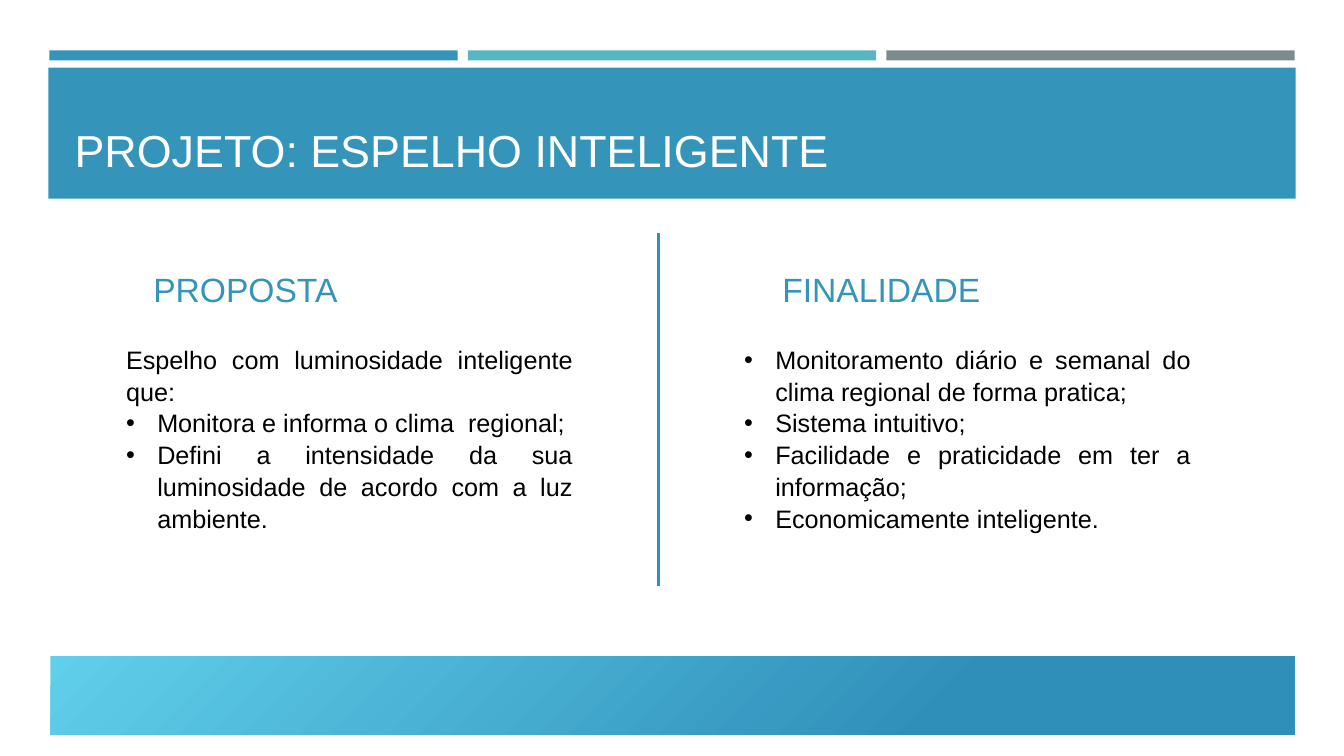
from dataclasses import dataclass

from lxml import etree
from pptx import Presentation
from pptx.dml.color import RGBColor
from pptx.enum.shapes import MSO_CONNECTOR, MSO_SHAPE
from pptx.enum.text import MSO_ANCHOR, MSO_AUTO_SIZE, PP_ALIGN
from pptx.oxml.ns import qn
from pptx.util import Inches, Pt

RECTANGLE = MSO_SHAPE.RECTANGLE
STRAIGHT = MSO_CONNECTOR.STRAIGHT
TOP, BOTTOM = MSO_ANCHOR.TOP, MSO_ANCHOR.BOTTOM
LEFT, JUSTIFY = PP_ALIGN.LEFT, PP_ALIGN.JUSTIFY
NO_AUTOFIT = MSO_AUTO_SIZE.NONE

TITLE = "PROJETO: ESPELHO INTELIGENTE"
TITLE_BOX = (0.64, 0.99, 10.5, 0.81)
# Each body line is (text, has bullet).
COLUMNS = [
    {
        "heading": "PROPOSTA",
        "heading_box": (1.42, 2.31, 4.63, 0.81),
        "body": [
            ("Espelho com luminosidade inteligente que:", False),
            ("Monitora e informa o clima  regional;", True),
            ("Defini a intensidade da sua luminosidade de acordo com a luz ambiente.", True),
        ],
        "body_box": (1.15, 3.35, 4.63, 1.92),
    },
    {
        "heading": "FINALIDADE",
        "heading_box": (7.66, 2.31, 3.87, 0.81),
        "body": [
            ("Monitoramento diário e semanal do clima regional de forma pratica;", True),
            ("Sistema intuitivo;", True),
            ("Facilidade e praticidade em ter a informação;", True),
            ("Economicamente inteligente.", True),
        ],
        "body_box": (7.28, 3.35, 4.63, 2.22),
    },
]


@dataclass(frozen=True)
class Theme:
    font: str = "Arial"
    title_size: int = 32
    heading_size: int = 24
    body_size: int = 18
    blue: str = "3494BA"
    teal: str = "58B6C0"
    gray: str = "7A8C8E"
    divider: str = "3190BA"
    gradient: tuple = ((0, "60CFEB"), (0.72, "308FB9"))
    white: str = "FFFFFF"
    black: str = "000000"


THEME = Theme()
BAR_LEFT, BAR_STEP, BAR_WIDTH = 0.49, 4.15, 4.05
BULLET_INDENT = 0.31


def color(code):
    return RGBColor.from_string(code)


def add_rectangle(slide, box, fill=None):
    shape = slide.shapes.add_shape(RECTANGLE, *map(Inches, box))
    shape.shadow.inherit = False
    shape.line.fill.background()
    if fill:
        shape.fill.solid()
        shape.fill.fore_color.rgb = color(fill)
    return shape


def set_bullet(paragraph, has_bullet):
    """Give the paragraph a hanging bullet, or switch the inherited one off."""
    properties = paragraph._p.get_or_add_pPr()
    indent = Inches(BULLET_INDENT) if has_bullet else 0
    properties.set("marL", str(indent))
    properties.set("indent", str(-indent))
    if has_bullet:
        etree.SubElement(properties, qn("a:buFont"), typeface=THEME.font)
        etree.SubElement(properties, qn("a:buChar"), char="•")
    else:
        etree.SubElement(properties, qn("a:buNone"))


def fill_placeholder(placeholder, box, lines, size, text_color, anchor, alignment, spacing=1.0):
    placeholder.left, placeholder.top, placeholder.width, placeholder.height = map(Inches, box)
    frame = placeholder.text_frame
    frame.text = "\n".join(text for text, _ in lines)
    frame.word_wrap = True
    frame.auto_size = NO_AUTOFIT
    frame.vertical_anchor = anchor
    for paragraph, (_, has_bullet) in zip(frame.paragraphs, lines):
        paragraph.alignment = alignment
        paragraph.line_spacing = spacing
        paragraph.space_before = Pt(0)
        set_bullet(paragraph, has_bullet)
        for run in paragraph.runs:
            run.font.name = THEME.font
            run.font.size = Pt(size)
            run.font.bold = False
            run.font.color.rgb = color(text_color)


def add_bands(slide):
    for index, fill in enumerate((THEME.blue, THEME.teal, THEME.gray)):
        add_rectangle(slide, (BAR_LEFT + index * BAR_STEP, 0.5, BAR_WIDTH, 0.1), fill)
    add_rectangle(slide, (0.48, 0.67, 12.37, 1.3), THEME.blue)

    footer = add_rectangle(slide, (0.5, 6.51, 12.34, 0.78))
    footer.fill.gradient()
    footer.fill.gradient_angle = 315
    for stop, (position, code) in zip(footer.fill.gradient_stops, THEME.gradient):
        stop.position = position
        stop.color.rgb = color(code)


def add_divider(slide):
    x = Inches(6.53)
    divider = slide.shapes.add_connector(STRAIGHT, x, Inches(2.31), x, Inches(5.81))
    divider.line.color.rgb = color(THEME.divider)
    divider.line.width = Pt(1.75)
    etree.SubElement(divider.element.spPr, qn("a:effectLst"))


def main():
    presentation = Presentation()
    presentation.slide_width, presentation.slide_height = Inches(13.33), Inches(7.5)
    comparison_layout = presentation.slide_layouts.get_by_name("Comparison")
    slide = presentation.slides.add_slide(comparison_layout)
    title, *bodies = slide.placeholders

    add_bands(slide)
    title.element.getparent().append(title.element)  # bring the title in front of its band
    fill_placeholder(title, TITLE_BOX, [(TITLE, False)],
                     THEME.title_size, THEME.white, BOTTOM, LEFT)

    add_divider(slide)
    for column, heading, body in zip(COLUMNS, bodies[::2], bodies[1::2]):
        fill_placeholder(heading, column["heading_box"], [(column["heading"], False)],
                         THEME.heading_size, THEME.blue, BOTTOM, LEFT)
        fill_placeholder(body, column["body_box"], column["body"],
                         THEME.body_size, THEME.black, TOP, JUSTIFY, spacing=1.05)

    presentation.save("out.pptx")


if __name__ == "__main__":
    main()
